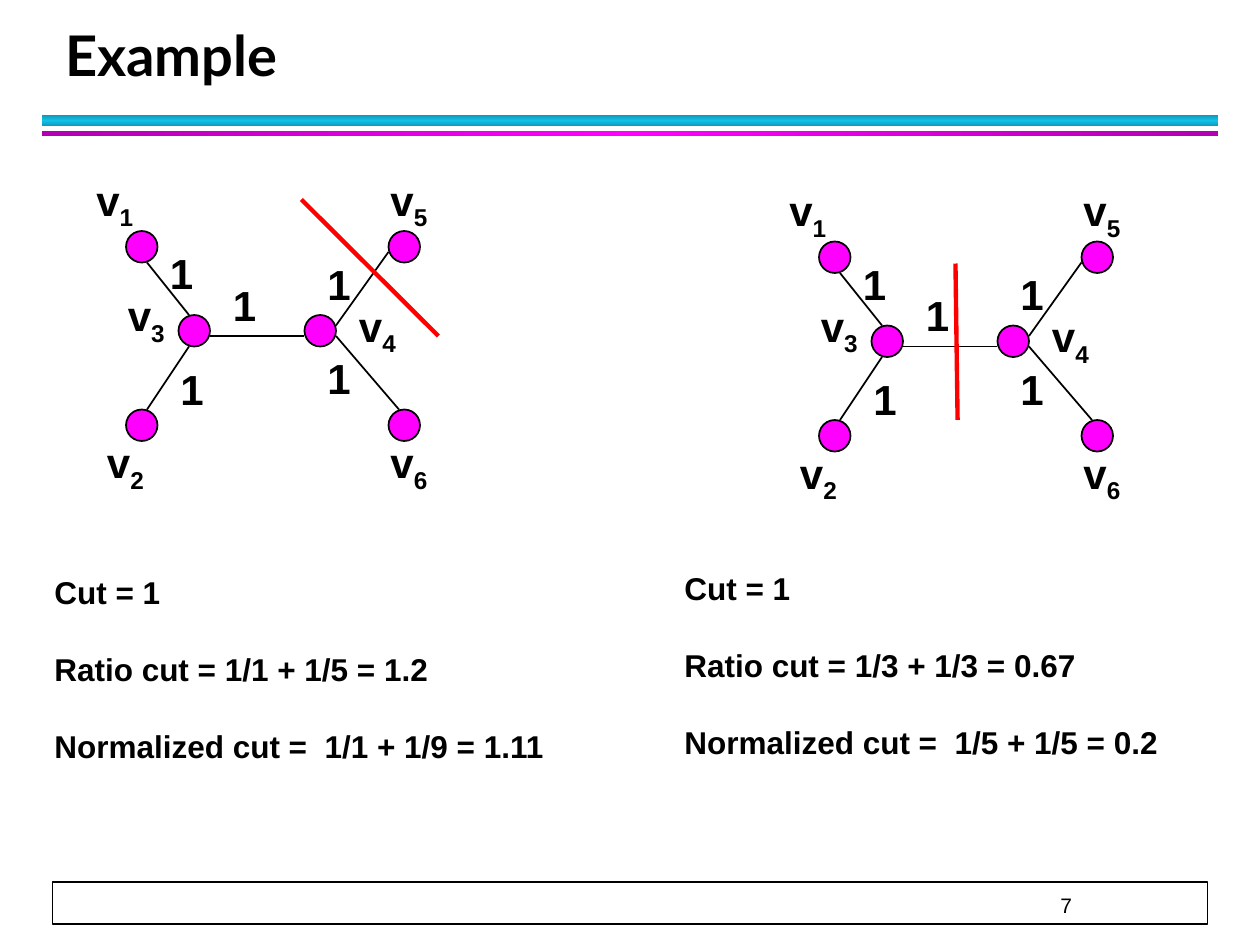
from copy import deepcopy
from dataclasses import dataclass

from pptx import Presentation
from pptx import util as u
from pptx.dml.color import RGBColor
from pptx.enum import shapes, text
from pptx.oxml import ns
from pptx.oxml.xmlchemy import OxmlElement


@dataclass(frozen=True)
class Theme:
    ink: str = "000000"
    paper: str = "FFFFFF"
    node: str = "FF00FF"
    cut: str = "FF0000"
    teal: tuple = ("0E9BBA", "12C2E9")
    purple: tuple = ("B200B2", "FF00FF")
    head_font: str = "Lato"
    body_font: str = "Arial"
    title: int = 32
    label: int = 24
    body: int = 18
    number: int = 12


THEME = Theme()
GRID = 2.54 / 12  # the layout grid in cm

# Graph parts in grid steps from the corner of the graph
NODES = {  # number: (circle position, label position)
    "1": ((4, 6), (0, 0)),
    "2": ((4, 23), (1, 25)),
    "3": ((9, 14), (3, 11)),
    "4": ((21, 14), (25, 12)),
    "5": ((29, 6), (28, 0)),
    "6": ((29, 23), (28, 25)),
}
EDGES = [  # start, end, weight position
    ((10, 14), (6, 9), (7, 7)),
    ((10, 17), (6, 23), (8, 18)),
    ((24, 15), (29, 8), (22, 8)),
    ((24, 16), (30, 23), (22, 17)),
    ((12, 16), (21, 16), (13, 10)),
]


def steps(*values):
    return [u.Cm(value * GRID) for value in values]


def color(value):
    return RGBColor.from_string(value)


def add_span(para, words, size, font=THEME.body_font, bold=True, baseline=None):
    span = para.add_run()
    span.text = words
    span.font.size, span.font.name, span.font.bold = u.Pt(size), font, bold
    span.font.color.rgb = color(THEME.ink)
    if baseline:
        span.font._element.set("baseline", str(baseline))


def add_box(page, box):
    frame = page.shapes.add_textbox(*steps(*box)).text_frame
    frame.word_wrap = True
    return frame


def add_form(page, kind, box, fill=None, line=None):
    form = page.shapes.add_shape(kind, *steps(*box))
    form.shadow.inherit = False
    if fill:
        form.fill.solid()
        form.fill.fore_color.rgb = color(fill)
    if line:
        form.line.color.rgb = color(line)
        form.line.width = u.Pt(1)
    else:
        form.line.fill.background()
    return form


def add_line(page, origin, start, end, ink, width):
    points = [origin[i] + point[i] for point in (start, end) for i in (0, 1)]
    line = page.shapes.add_connector(shapes.MSO_CONNECTOR.STRAIGHT, *steps(*points))
    line.line.color.rgb = color(ink)
    line.line.width = u.Pt(width)
    line._element.spPr.append(OxmlElement("a:effectLst"))


def add_band(page, box, shades, angle):
    band = add_form(page, shapes.MSO_SHAPE.RECTANGLE, box)
    band.fill.gradient()
    band.fill.gradient_angle = angle
    first = band._element.spPr.find(".//" + ns.qn("a:gs"))
    first.addnext(deepcopy(first))
    edge, middle = shades
    for stop, place, shade in zip(band.fill.gradient_stops, (0, 0.5, 1), (edge, middle, edge)):
        stop.position = place
        stop.color.rgb = color(shade)


def add_header(page, box, words):
    left, top, width, height = box
    # Title
    title = page.shapes.title
    title.left, title.top, title.width, title.height = steps(left + 1, top, width - 3.3, height)
    frame = title.text_frame
    frame.auto_size = text.MSO_AUTO_SIZE.NONE
    frame.vertical_anchor = text.MSO_ANCHOR.BOTTOM
    para = frame.paragraphs[0]
    para.alignment = text.PP_ALIGN.LEFT
    para.line_spacing = u.Pt(36)
    add_span(para, words, THEME.title, THEME.head_font)
    # Two bands under the title
    add_band(page, (left, top + 9, width, 1), THEME.teal, 90)
    add_band(page, (left, top + 10.5, width, 0.5), THEME.purple, 0)


def add_graph(page, origin, cut):
    x, y = origin
    for number, ((cx, cy), (lx, ly)) in NODES.items():
        add_form(page, shapes.MSO_SHAPE.OVAL, (x + cx, y + cy, 3, 3), THEME.node, THEME.ink)
        para = add_box(page, (x + lx, y + ly, 8, 6)).paragraphs[0]
        add_span(para, "v", THEME.label)
        add_span(para, number, THEME.label, baseline=-25000)
    for start, end, (wx, wy) in EDGES:
        add_line(page, origin, start, end, THEME.ink, 1)
        add_span(add_box(page, (x + wx, y + wy, 6, 6)).paragraphs[0], "1", THEME.label)
    # Red cut line
    add_line(page, origin, *cut, THEME.cut, 2.5)


def add_results(page, box, lines):
    frame = add_box(page, box)
    for index, words in enumerate(lines):
        para = frame.add_paragraph() if index else frame.paragraphs[0]
        para.space_before = u.Pt(22.4 if index else 0)
        add_span(para, words, THEME.body)


def add_footer(page, box, number):
    left, top, width, height = box
    add_form(page, shapes.MSO_SHAPE.RECTANGLE, box, THEME.paper, THEME.ink)
    frame = add_box(page, (left + 96, top, width - 96, height - 0.6))
    frame.margin_left = frame.margin_right = frame.margin_top = frame.margin_bottom = 0
    frame.vertical_anchor = text.MSO_ANCHOR.BOTTOM
    para = frame.paragraphs[0]
    para.line_spacing = u.Pt(20)
    add_span(para, number, THEME.number, bold=False)


deck = Presentation()
deck.slide_width, deck.slide_height = u.Cm(25.4), u.Cm(19.05)
page = deck.slides.add_slide(deck.slide_layouts[5])

add_footer(page, (5, 84, 110, 4), "7")
add_header(page, (4, 2, 112, 7), "Example")
add_graph(page, (8, 16), ((33.75, 16), (20.7, 3)))
add_graph(page, (74, 17), ((17.2, 23), (17, 8.1)))
add_results(page, (4, 54, 52, 19.5), [
    "Cut = 1", "Ratio cut = 1/1 + 1/5 = 1.2", "Normalized cut =  1/1 + 1/9 = 1.11"])
add_results(page, (64, 53.6, 52, 19.5), [
    "Cut = 1", "Ratio cut = 1/3 + 1/3 = 0.67", "Normalized cut =  1/5 + 1/5 = 0.2"])

deck.save("out.pptx")
